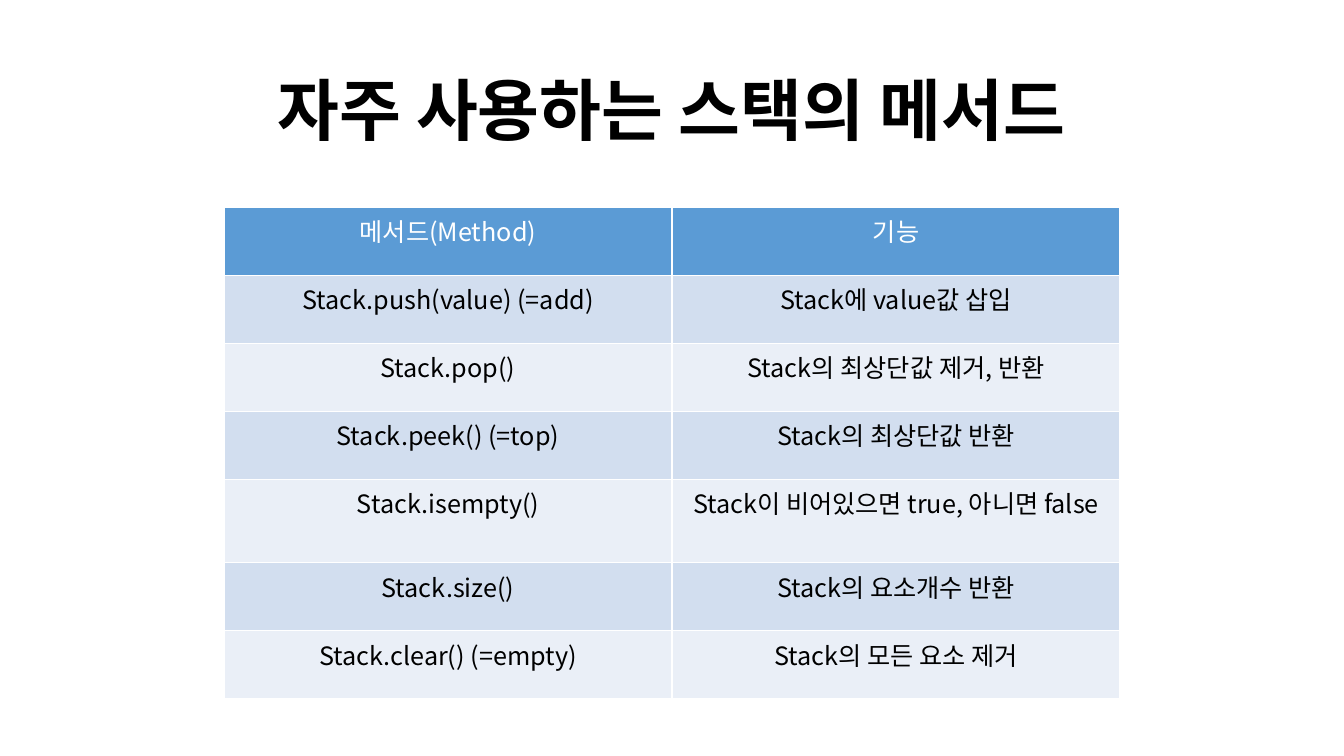
"""Build a slide listing the commonly used stack methods."""
from dataclasses import dataclass

from lxml import etree
from pptx import Presentation
from pptx.dml.color import RGBColor
from pptx.enum.text import MSO_ANCHOR, MSO_AUTO_SIZE, PP_ALIGN
from pptx.oxml.ns import qn
from pptx.slide import Slide
from pptx.table import _Cell
from pptx.text.text import _Paragraph
from pptx.util import Inches, Pt

CENTER = PP_ALIGN.CENTER
MIDDLE = MSO_ANCHOR.MIDDLE
GROW = MSO_AUTO_SIZE.SHAPE_TO_FIT_TEXT
TITLE_ONLY = 5
SLIDE_WIDTH = Inches(13.33)
SLIDE_HEIGHT = Inches(7.5)


@dataclass(frozen=True)
class Theme:
    font: str = "Noto Sans CJK KR"
    ink: str = "000000"
    paper: str = "FFFFFF"
    header: str = "5B9BD5"
    bands: tuple[str, str] = ("D2DEEF", "EAEFF7")
    title_size: int = 48
    body_size: int = 18
    rule: int = 1


@dataclass(frozen=True)
class Area:
    """Position and size as shares of the slide."""
    left: float
    top: float
    width: float
    height: float

    def lengths(self) -> tuple[int, int, int, int]:
        """Return the area in slide units."""
        return (int(self.left * SLIDE_WIDTH), int(self.top * SLIDE_HEIGHT),
                int(self.width * SLIDE_WIDTH), int(self.height * SLIDE_HEIGHT))


ROW_SHARE = 0.09
TWO_LINE_ROW_SHARE = 0.11


@dataclass(frozen=True)
class Method:
    call: str
    purpose: str
    row_share: float = ROW_SHARE


THEME = Theme()
TITLE = "자주 사용하는 스택의 메서드"
TITLE_AREA = Area(0.147, 0.083, 0.705, 0.121)
ROWS = (
    Method("메서드(Method)", "기능"),
    Method("Stack.push(value) (=add)", "Stack에 value값 삽입"),
    Method("Stack.pop()", "Stack의 최상단값 제거, 반환"),
    Method("Stack.peek() (=top)", "Stack의 최상단값 반환"),
    Method("Stack.isempty()", "Stack이 비어있으면 true, 아니면 false", TWO_LINE_ROW_SHARE),
    Method("Stack.size()", "Stack의 요소개수 반환"),
    Method("Stack.clear() (=empty)", "Stack의 모든 요소 제거"),
)
TABLE_AREA = Area(1 / 6, 0.2745, 2 / 3, sum(method.row_share for method in ROWS))


def format_paragraph(paragraph: _Paragraph, size: int, color: str, bold: bool = False) -> None:
    """Centre a paragraph and set its Latin and Korean type."""
    paragraph.alignment = CENTER
    font = paragraph.font
    font.size = Pt(size)
    font.bold = bold
    font.color.rgb = RGBColor.from_string(color)
    font.name = THEME.font
    defaults = paragraph._p.pPr.find(qn("a:defRPr"))
    etree.SubElement(defaults, qn("a:ea")).set("typeface", THEME.font)


def rule_cell(cell: _Cell) -> None:
    """Draw the rules on all four sides of a cell."""
    properties = cell._tc.get_or_add_tcPr()
    for position, side in enumerate(("a:lnL", "a:lnR", "a:lnT", "a:lnB")):
        line = etree.Element(qn(side), w=str(Pt(THEME.rule)))
        fill = etree.SubElement(line, qn("a:solidFill"))
        etree.SubElement(fill, qn("a:srgbClr")).set("val", THEME.paper)
        properties.insert(position, line)


def fill_cell(cell: _Cell, text: str, background: str, color: str) -> None:
    """Write and format one table cell."""
    cell.text = text
    format_paragraph(cell.text_frame.paragraphs[0], THEME.body_size, color)
    cell.fill.solid()
    cell.fill.fore_color.rgb = RGBColor.from_string(background)
    rule_cell(cell)


def add_methods(slide: Slide) -> None:
    """Add the table of methods under its heading row."""
    table = slide.shapes.add_table(len(ROWS), 2, *TABLE_AREA.lengths()).table
    for index, method in enumerate(ROWS):
        table.rows[index].height = int(method.row_share * SLIDE_HEIGHT)
        is_heading = index == 0
        background = THEME.header if is_heading else THEME.bands[(index - 1) % 2]
        color = THEME.paper if is_heading else THEME.ink
        for column, text in enumerate((method.call, method.purpose)):
            fill_cell(table.cell(index, column), text, background, color)


def add_title(slide: Slide) -> None:
    """Place and format the slide title."""
    title = slide.shapes.title
    title.left, title.top, title.width, title.height = TITLE_AREA.lengths()
    frame = title.text_frame
    frame.text = TITLE
    frame.word_wrap = True
    frame.auto_size = GROW
    frame.vertical_anchor = MIDDLE
    format_paragraph(frame.paragraphs[0], THEME.title_size, THEME.ink, bold=True)


def main() -> None:
    """Create and save the presentation."""
    presentation = Presentation()
    presentation.slide_width = SLIDE_WIDTH
    presentation.slide_height = SLIDE_HEIGHT
    slide = presentation.slides.add_slide(presentation.slide_layouts[TITLE_ONLY])
    add_methods(slide)
    add_title(slide)
    presentation.save("out.pptx")


if __name__ == "__main__":
    main()
